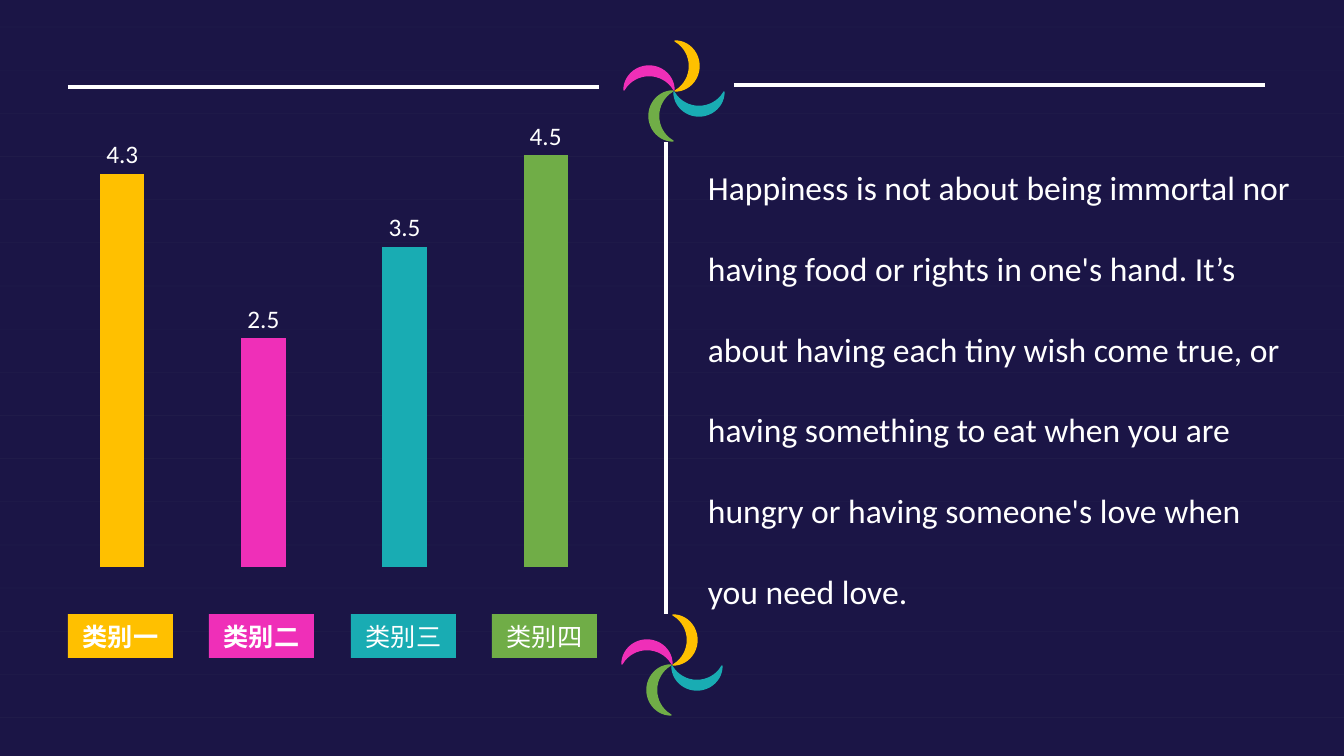
from lxml import etree
from pptx import Presentation
from pptx.chart.data import CategoryChartData
from pptx.dml.color import RGBColor
from pptx.enum.chart import XL_CHART_TYPE, XL_LABEL_POSITION
from pptx.enum.shapes import MSO_CONNECTOR, MSO_SHAPE
from pptx.enum.text import MSO_ANCHOR, MSO_AUTO_SIZE, PP_ALIGN
from pptx.oxml.ns import qn
from pptx.util import Pt

COLUMNS = XL_CHART_TYPE.COLUMN_CLUSTERED
OUTSIDE_END = XL_LABEL_POSITION.OUTSIDE_END
STRAIGHT = MSO_CONNECTOR.STRAIGHT
RECTANGLE, MOON = MSO_SHAPE.RECTANGLE, MSO_SHAPE.MOON
TOP, MIDDLE = MSO_ANCHOR.TOP, MSO_ANCHOR.MIDDLE
CENTER = PP_ALIGN.CENTER
GROW = MSO_AUTO_SIZE.SHAPE_TO_FIT_TEXT

PX = 12192000 / 1344
COLORS = {
    name: RGBColor.from_string(value)
    for name, value in {
        "navy": "1B1546",
        "white": "FFFFFF",
        "gray": "808080",
        "yellow": "FFC000",
        "pink": "EF2FB8",
        "teal": "19ACB3",
        "green": "70AD47",
    }.items()
}
CATEGORIES = [
    ("类别一", 4.3, "yellow", True),
    ("类别二", 2.5, "pink", True),
    ("类别三", 3.5, "teal", False),
    ("类别四", 4.5, "green", False),
]
QUOTE = (
    "Happiness is not about being immortal nor having food or rights in one's hand. "
    "It’s about having each tiny wish come true, or having something to eat when you "
    "are hungry or having someone's love when you need love."
)


def px(*lengths):
    return [round(length * PX) for length in lengths]


def add_line(ends, color, width):
    line = page.shapes.add_connector(STRAIGHT, *px(*ends))
    line.line.color.rgb = COLORS[color]
    line.line.width = Pt(width)
    etree.SubElement(line._element.spPr, qn("a:effectLst"))
    return line


deck = Presentation()
deck.slide_width, deck.slide_height = px(1344, 756)
page = deck.slides.add_slide(deck.slide_layouts[6])

# Background with faint ruled lines
page.background.fill.solid()
page.background.fill.fore_color.rgb = COLORS["navy"]
for row in range(17):
    y = 27 + 43.16 * row
    rule = add_line((0, y, 1344, y), "gray", 0.5)
    tint = rule._element.spPr.find(".//" + qn("a:srgbClr"))
    etree.SubElement(tint, qn("a:alpha"), val="5000")

# White dividers
for ends in [(68, 87, 599, 87), (734, 85, 1265, 85), (666, 142, 666, 614)]:
    add_line(ends, "white", 3)

# Pinwheels: each blade is the previous one turned by 90 degrees
for center_x, center_y in [(674, 91), (672, 665)]:
    offset_x, offset_y = -13, 25
    for turn, color in enumerate(["green", "pink", "yellow", "teal"]):
        left, top = center_x + offset_x - 12, center_y + offset_y - 25
        blade = page.shapes.add_shape(MOON, *px(left, top, 24, 50))
        blade.adjustments[0] = 0.398
        blade.rotation = 90 * turn
        blade.shadow.inherit = False
        blade.fill.solid()
        blade.fill.fore_color.rgb = COLORS[color]
        blade.line.color.rgb = COLORS[color]
        blade.line.width = Pt(1)
        offset_x, offset_y = -offset_y, offset_x

# Quote
quote_box = page.shapes.add_textbox(*px(698, 122, 610, 581))
for name, value in {"word_wrap": True, "auto_size": GROW, "vertical_anchor": TOP}.items():
    setattr(quote_box.text_frame, name, value)
para = quote_box.text_frame.paragraphs[0]
para.line_spacing = 2.0
span = para.add_run()
span.text = QUOTE
span.font.name = "Calibri"
span.font.size = Pt(24)
span.font.color.rgb = COLORS["white"]

# Column chart
data = CategoryChartData()
data.categories = [str(number) for number in range(1, len(CATEGORIES) + 1)]
data.add_series("Series 1", [value for _, value, _, _ in CATEGORIES])
chart = page.shapes.add_chart(COLUMNS, *px(40, 100, 588, 477), data).chart
chart.has_legend = False
chart.has_title = False
chart.font.name = "Calibri"
chart.font.size = Pt(10)
for axis in (chart.category_axis, chart.value_axis):
    axis.has_major_gridlines = False
    axis.visible = False
chart.value_axis.minimum_scale = 0
chart.value_axis.maximum_scale = 5

plot = chart.plots[0]
for name, value in {"gap_width": 219, "overlap": -27, "vary_by_categories": False}.items():
    setattr(plot, name, value)
series = plot.series[0]
for index, (_, _, color, _) in enumerate(CATEGORIES):
    column = series.points[index].format.fill
    column.solid()
    column.fore_color.rgb = COLORS[color]
labels = series.data_labels
labels.show_value = True
labels.position = OUTSIDE_END
labels.font.name = "Calibri"
labels.font.size = Pt(18)
labels.font.color.rgb = COLORS["white"]

# Category tags under the columns
for index, (label, _, color, bold) in enumerate(CATEGORIES):
    tag = page.shapes.add_shape(RECTANGLE, *px(68 + 283 * index // 2, 614, 105, 44))
    tag.shadow.inherit = False
    tag.fill.solid()
    tag.fill.fore_color.rgb = COLORS[color]
    tag.line.fill.background()
    tag.text_frame.vertical_anchor = MIDDLE
    para = tag.text_frame.paragraphs[0]
    para.alignment = CENTER
    span = para.add_run()
    span.text = label
    for name, value in {"name": "Calibri", "size": Pt(18), "bold": bold}.items():
        setattr(span.font, name, value)
    span.font.color.rgb = COLORS["white"]

deck.save("out.pptx")
